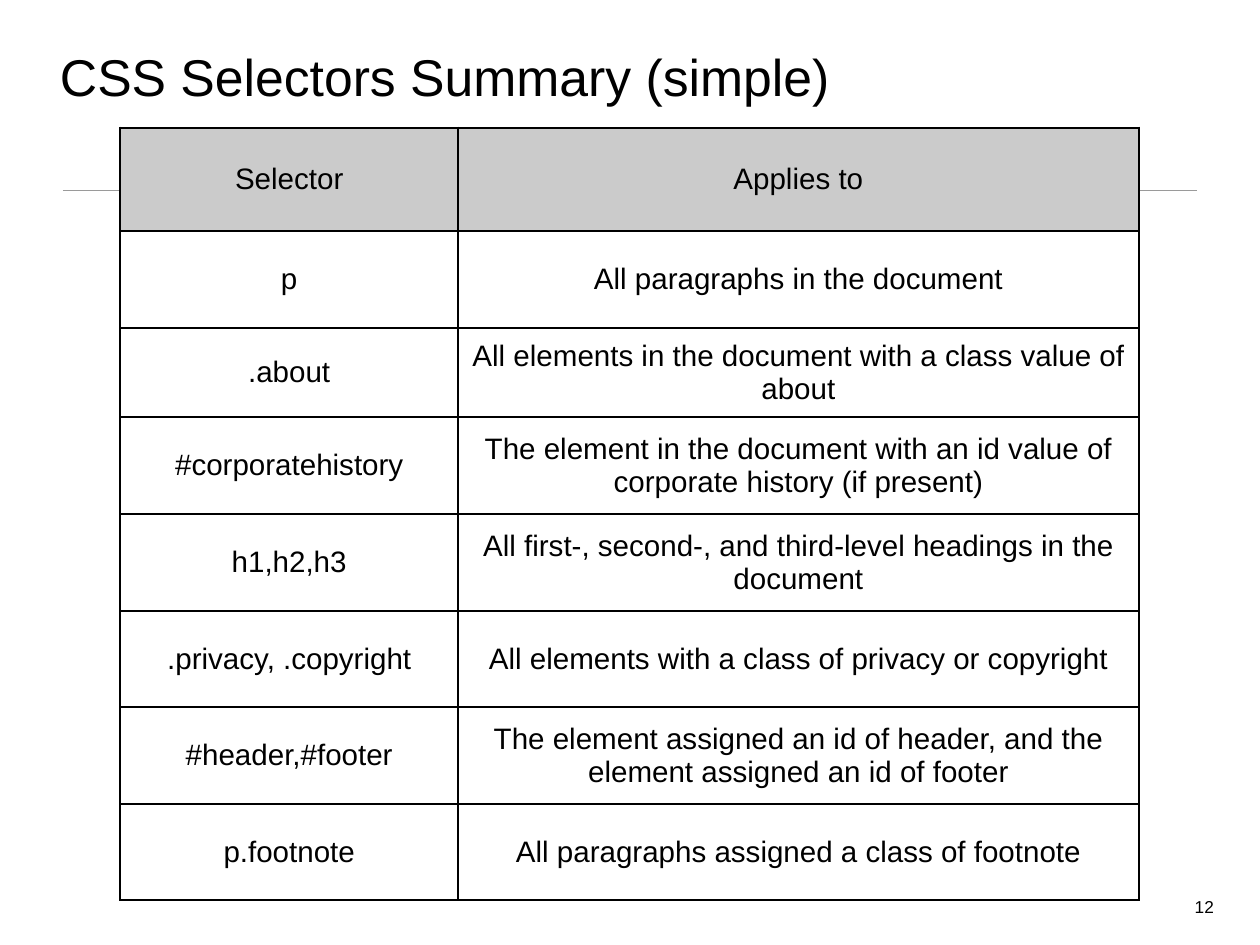
from lxml import etree
from pptx import Presentation
from pptx.dml.color import RGBColor
from pptx.enum.shapes import MSO_CONNECTOR
from pptx.enum.text import MSO_ANCHOR, PP_ALIGN
from pptx.oxml.ns import qn
from pptx.util import Cm, Pt

LEFT, CENTER, RIGHT = PP_ALIGN.LEFT, PP_ALIGN.CENTER, PP_ALIGN.RIGHT
TOP, MIDDLE, BOTTOM = MSO_ANCHOR.TOP, MSO_ANCHOR.MIDDLE, MSO_ANCHOR.BOTTOM
STRAIGHT = MSO_CONNECTOR.STRAIGHT

TITLE = "CSS Selectors Summary (simple)"
PAGE_NUMBER = "12"
SELECTORS = [
    ("Selector", "Applies to"),
    ("p", "All paragraphs in the document"),
    (".about", "All elements in the document with a class value of about"),
    ("#corporatehistory",
     "The element in the document with an id value of corporate history (if present)"),
    ("h1,h2,h3", "All first-, second-, and third-level headings in the document"),
    (".privacy, .copyright", "All elements with a class of privacy or copyright"),
    ("#header,#footer",
     "The element assigned an id of header, and the element assigned an id of footer"),
    ("p.footnote", "All paragraphs assigned a class of footnote"),
]

FONT = "Arial"
BLACK, WHITE, HEADER_GRAY, RULE_GRAY = "000000", "FFFFFF", "CBCBCB", "9A9A9A"
MARGIN = Cm(0.15)
COLUMN_WIDTHS = (9.68, 19.51)
ROW_HEIGHTS = [2.97, 2.77, 2.57] + [2.77] * 5
BORDER_SIDES = ("a:lnL", "a:lnR", "a:lnT", "a:lnB")


def color(hex_value):
    return RGBColor.from_string(hex_value)


def style_paragraph(paragraph, size, alignment):
    paragraph.alignment = alignment
    paragraph.font.name = FONT
    paragraph.font.size = Pt(size)
    paragraph.font.bold = False
    paragraph.font.color.rgb = color(BLACK)


def set_margins(target):
    target.margin_left = target.margin_right = MARGIN
    target.margin_top = target.margin_bottom = MARGIN


def add_text(slide, text, box, size, alignment, anchor, wrap):
    frame = slide.shapes.add_textbox(*map(Cm, box)).text_frame
    frame.word_wrap = wrap
    frame.vertical_anchor = anchor
    set_margins(frame)
    frame.text = text
    style_paragraph(frame.paragraphs[0], size, alignment)


def add_rule(slide):
    rule = slide.shapes.add_connector(STRAIGHT, Cm(1.8), Cm(5.46), Cm(34.32), Cm(5.46))
    rule.line.color.rgb = color(RULE_GRAY)
    rule.line.width = Pt(1)
    etree.SubElement(rule._element.spPr, qn("a:effectLst"))


def add_borders(cell):
    properties = cell._tc.get_or_add_tcPr()
    for position, side in enumerate(BORDER_SIDES):
        border = etree.Element(qn(side), w=str(Pt(2)))
        fill = etree.SubElement(border, qn("a:solidFill"))
        etree.SubElement(fill, qn("a:srgbClr"), val=BLACK)
        properties.insert(position, border)


def add_selector_table(slide):
    table = slide.shapes.add_table(
        len(SELECTORS), len(COLUMN_WIDTHS), Cm(3.45), Cm(3.66),
        Cm(sum(COLUMN_WIDTHS)), Cm(sum(ROW_HEIGHTS))).table
    for column, width in zip(table.columns, COLUMN_WIDTHS):
        column.width = Cm(width)
    for row_index, (row, height) in enumerate(zip(table.rows, ROW_HEIGHTS)):
        row.height = Cm(height)
        for cell, text in zip(row.cells, SELECTORS[row_index]):
            cell.text = text
            cell.vertical_anchor = MIDDLE
            set_margins(cell)
            cell.fill.solid()
            cell.fill.fore_color.rgb = color(WHITE if row_index else HEADER_GRAY)
            style_paragraph(cell.text_frame.paragraphs[0], 24, CENTER)
            add_borders(cell)


def main():
    presentation = Presentation()
    presentation.slide_width, presentation.slide_height = Cm(36.12), Cm(27.1)
    slide = presentation.slides.add_slide(presentation.slide_layouts[6])
    add_rule(slide)
    add_text(slide, TITLE, (1.57, 0.91, 32.94, 2.29), 42, LEFT, BOTTOM, True)
    add_text(slide, PAGE_NUMBER, (34.09, 25.55, 0.86, 0.84), 14, RIGHT, TOP, False)
    add_selector_table(slide)
    presentation.save("out.pptx")


if __name__ == "__main__":
    main()
